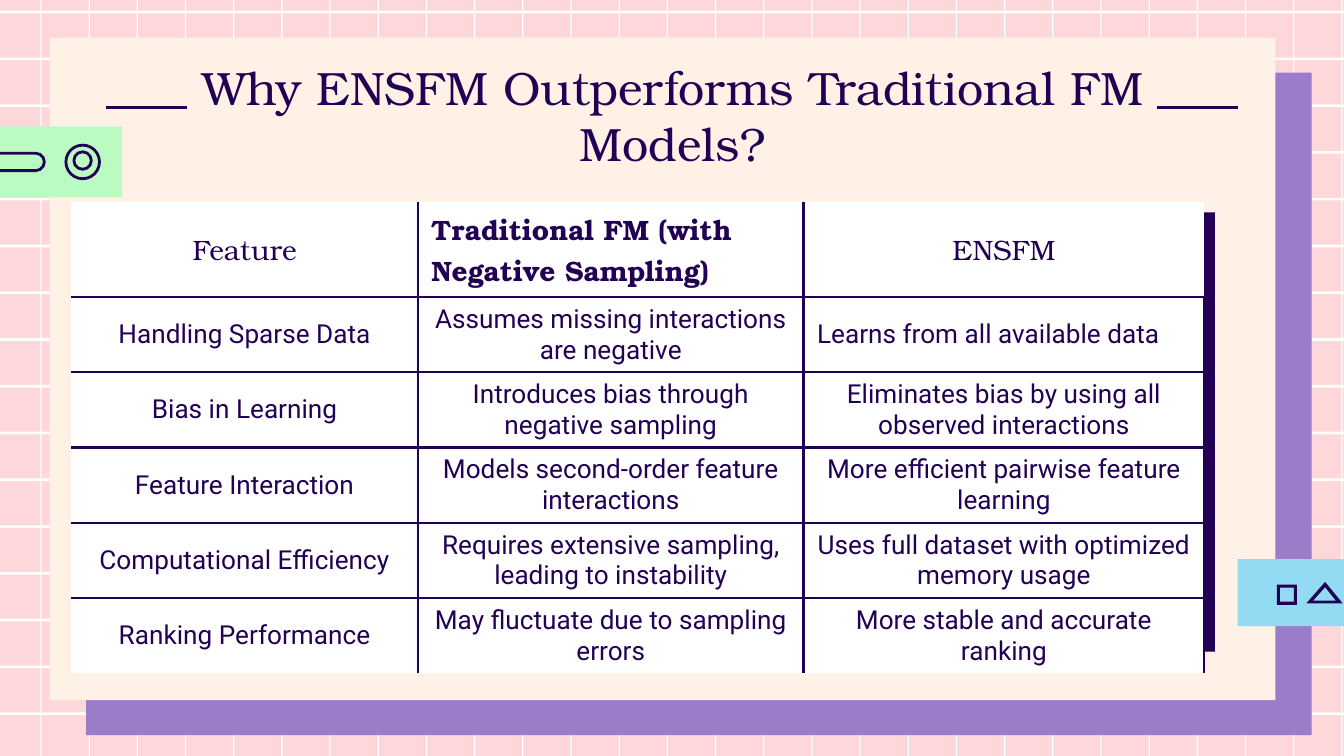
from typing import NamedTuple, Optional

from lxml import etree
from pptx import Presentation
from pptx.dml.color import RGBColor
from pptx.enum.shapes import MSO_CONNECTOR, MSO_SHAPE
from pptx.enum.text import MSO_ANCHOR, MSO_AUTO_SIZE, PP_ALIGN
from pptx.oxml.ns import qn
from pptx.util import Inches, Pt

RECT = MSO_SHAPE.RECTANGLE
OVAL = MSO_SHAPE.OVAL
PILL = MSO_SHAPE.ROUNDED_RECTANGLE
FRAME = MSO_SHAPE.FRAME
STRAIGHT = MSO_CONNECTOR.STRAIGHT
LEFT = PP_ALIGN.LEFT
CENTER = PP_ALIGN.CENTER
TOP = MSO_ANCHOR.TOP
MIDDLE = MSO_ANCHOR.MIDDLE

INK = "220155"
WHITE = "FFFFFF"
PINK = "FDD7D9"
CREAM = "FFF1E6"
PURPLE = "9A7CC9"
GREEN = "BAFBC2"
BLUE = "92DBF3"
SERIF = "TeX Gyre Bonum"
SANS = "Roboto"
RULE_WIDTH = 1.5
WIDTH = 10
HEIGHT = WIDTH * 9 / 16


class Block(NamedTuple):
    left: float
    top: float
    width: float
    height: float
    fill: Optional[str] = None
    line: Optional[str] = None
    kind: int = RECT
    adjust: Optional[float] = None


ROW_LINES = [Block(-0.12, 0.08 + i * 5.22 / 15, 10.24, 0.02, WHITE) for i in range(16)]
COLUMN_LINES = [Block(0.3 + i * 9.68 / 27, 0, 0.01, HEIGHT, WHITE) for i in range(28)]
PANELS = [
    Block(0.64, 0.54, 9.12, 4.93, PURPLE),
    Block(0.37, 0.28, 9.12, 4.93, CREAM),
]
TABS = [
    Block(-0.26, 0.94, 1.17, 0.53, GREEN),
    Block(0.49, 1.08, 0.25, 0.25, None, INK, OVAL),
    Block(0.55, 1.13, 0.13, 0.13, GREEN, INK, OVAL),
    Block(-0.09, 1.14, 0.42, 0.13, None, INK, PILL, 0.5),
    Block(9.21, 4.16, 1.74, 0.5, BLUE),
    Block(9.5, 4.35, 0.15, 0.15, INK, None, FRAME, 0.15),
]
TABLE_SHADOW = Block(1.12, 1.58, 7.92, 3.27, INK)
TRIANGLE_OUTER = [(9.86, 4.33), (9.72, 4.49), (9.99, 4.49)]
TRIANGLE_INNER = [(9.86, 4.37), (9.94, 4.47), (9.77, 4.47)]

COLUMN_WIDTHS = [2.58, 2.87, 2.98]
HEADER_HEIGHT, ROW_HEIGHT = 0.71, 0.56
COMPARISON = [
    ("Feature", "Traditional FM (with Negative Sampling)", "ENSFM"),
    ("Handling Sparse Data", "Assumes missing interactions are negative",
     "Learns from all available data"),
    ("Bias in Learning", "Introduces bias through negative sampling",
     "Eliminates bias by using all observed interactions"),
    ("Feature Interaction", "Models second-order feature interactions",
     "More efficient pairwise feature learning"),
    ("Computational Efficiency", "Requires extensive sampling, leading to instability",
     "Uses full dataset with optimized memory usage"),
    ("Ranking Performance", "May fluctuate due to sampling errors",
     "More stable and accurate ranking"),
]
LEFT_ALIGNED = {(0, 1), (1, 2)}


def rgb(color: str) -> RGBColor:
    return RGBColor.from_string(color)


def paint(shape, fill: Optional[str], line: Optional[str] = None) -> None:
    shape.shadow.inherit = False
    if fill:
        shape.fill.solid()
        shape.fill.fore_color.rgb = rgb(fill)
    else:
        shape.fill.background()
    if line:
        shape.line.color.rgb = rgb(line)
        shape.line.width = Pt(RULE_WIDTH)
    else:
        shape.line.fill.background()


def draw_block(slide, block: Block) -> None:
    shape = slide.shapes.add_shape(
        block.kind, Inches(block.left), Inches(block.top),
        Inches(block.width), Inches(block.height))
    if block.adjust is not None:
        shape.adjustments[0] = block.adjust
    paint(shape, block.fill, block.line)


def draw_triangle(slide) -> None:
    outer, inner = ([(Inches(x), Inches(y)) for x, y in points]
                    for points in (TRIANGLE_OUTER, TRIANGLE_INNER))
    builder = slide.shapes.build_freeform(*outer[0])
    builder.add_line_segments(outer[1:], close=True)
    builder.move_to(*inner[0])
    builder.add_line_segments(inner[1:], close=True)
    paint(builder.convert_to_shape(), INK)


def draw_title_rule(slide, left: float) -> None:
    rule = slide.shapes.add_connector(
        STRAIGHT, Inches(left), Inches(0.8), Inches(left + 0.6), Inches(0.8))
    rule.line.color.rgb = rgb(INK)
    rule.line.width = Pt(RULE_WIDTH)
    etree.SubElement(rule.element.spPr, qn("a:effectLst"))


def write(frame, text: str, *, size: float, font: str, bold: bool = False,
          align: int = CENTER) -> None:
    frame.word_wrap = True
    paragraph = frame.paragraphs[0]
    paragraph.alignment = align
    run = paragraph.add_run()
    run.text = text
    run.font.size = Pt(size)
    run.font.name = font
    run.font.bold = bold
    run.font.color.rgb = rgb(INK)


def draw_title(slide) -> None:
    title = slide.shapes.title
    title.left, title.top = Inches(0.79), Inches(0.34)
    title.width, title.height = Inches(8.43), Inches(0.92)
    frame = title.text_frame
    frame.auto_size = MSO_AUTO_SIZE.NONE
    frame.vertical_anchor = TOP
    frame.margin_left = frame.margin_right = Inches(0.1)
    frame.margin_top = frame.margin_bottom = Inches(0.1)
    write(frame, "Why ENSFM Outperforms Traditional FM Models?", size=25, font=SERIF)
    title.element.getparent().append(title.element)


def set_borders(cell, sides: set[str]) -> None:
    properties = cell._tc.get_or_add_tcPr()
    for position, side in enumerate("LRTB"):
        border = etree.Element(qn(f"a:ln{side}"), w=str(Pt(RULE_WIDTH)))
        if side in sides:
            fill = etree.SubElement(border, qn("a:solidFill"))
            etree.SubElement(fill, qn("a:srgbClr"), val=INK)
        else:
            etree.SubElement(border, qn("a:noFill"))
        properties.insert(position, border)


def border_sides(row: int, column: int) -> set[str]:
    last_row, last_column = len(COMPARISON) - 1, len(COLUMN_WIDTHS) - 1
    rules = {
        "L": column > 0,
        "R": column < last_column or row > 0,
        "T": row > 0,
        "B": row < last_row,
    }
    return {side for side, shown in rules.items() if shown}


def draw_comparison(slide) -> None:
    heights = [HEADER_HEIGHT] + [ROW_HEIGHT] * (len(COMPARISON) - 1)
    table = slide.shapes.add_table(
        len(heights), len(COLUMN_WIDTHS), Inches(0.53), Inches(1.5),
        Inches(sum(COLUMN_WIDTHS)), Inches(sum(heights))).table
    table.first_row = table.horz_banding = False
    for column, width in zip(table.columns, COLUMN_WIDTHS):
        column.width = Inches(width)
    for row, height in zip(table.rows, heights):
        row.height = Inches(height)
    for r, texts in enumerate(COMPARISON):
        for c, text in enumerate(texts):
            cell = table.cell(r, c)
            cell.fill.solid()
            cell.fill.fore_color.rgb = rgb(WHITE)
            cell.vertical_anchor = MIDDLE
            cell.margin_left = cell.margin_right = Inches(0.1)
            cell.margin_top = cell.margin_bottom = Inches(0.05)
            set_borders(cell, border_sides(r, c))
            write(cell.text_frame, text, size=14 if r else 15,
                  font=SANS if r else SERIF, bold=(r, c) == (0, 1),
                  align=LEFT if (r, c) in LEFT_ALIGNED else CENTER)


def main() -> None:
    deck = Presentation()
    deck.slide_width, deck.slide_height = Inches(WIDTH), Inches(HEIGHT)
    slide = deck.slides.add_slide(deck.slide_layouts[5])
    slide.background.fill.solid()
    slide.background.fill.fore_color.rgb = rgb(PINK)
    for block in ROW_LINES + COLUMN_LINES + PANELS:
        draw_block(slide, block)
    for left in (0.79, 8.61):
        draw_title_rule(slide, left)
    for block in TABS:
        draw_block(slide, block)
    draw_triangle(slide)
    draw_title(slide)
    draw_block(slide, TABLE_SHADOW)
    draw_comparison(slide)
    deck.save("out.pptx")


if __name__ == "__main__":
    main()
